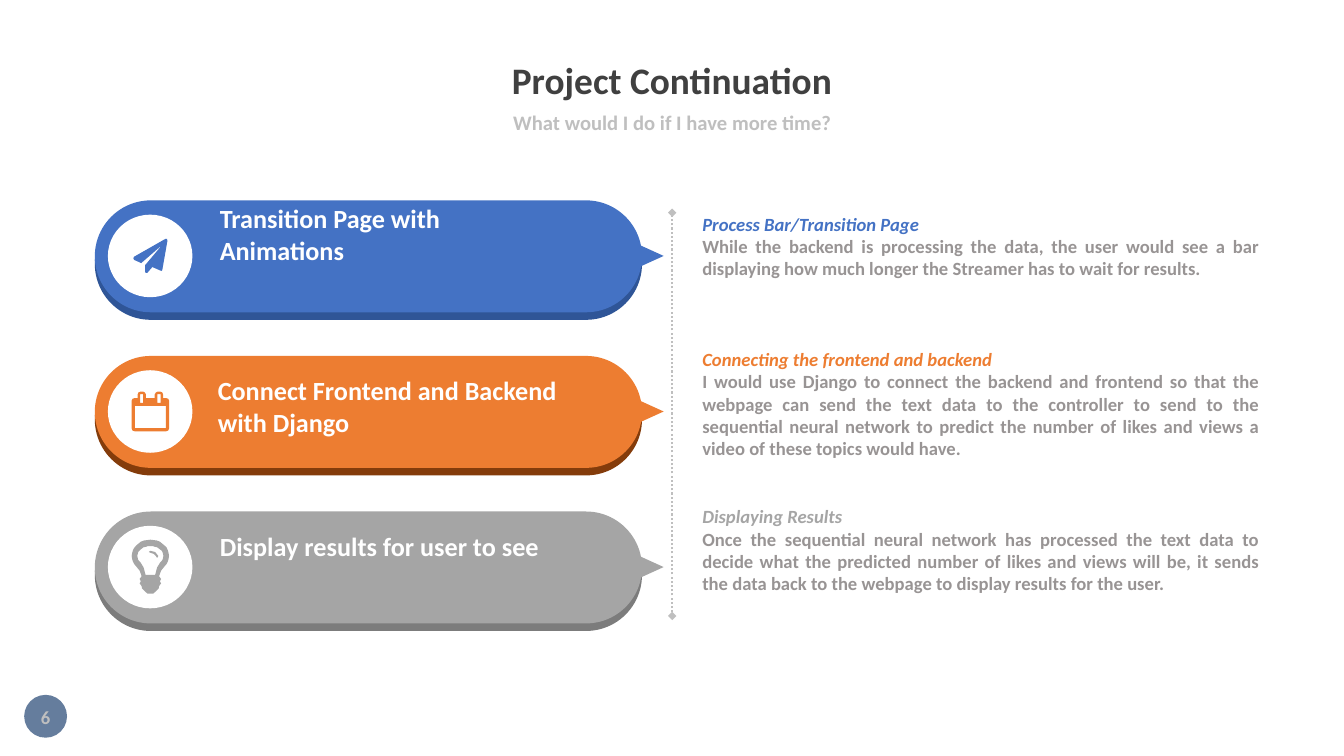
"""Build the project continuation slide: three pills, their icons and notes."""
from dataclasses import dataclass
from math import cos, radians, sin

from lxml.etree import SubElement
from pptx import Presentation
from pptx.dml.color import RGBColor
from pptx.enum.dml import MSO_LINE
from pptx.enum.shapes import MSO_CONNECTOR, MSO_SHAPE
from pptx.enum.text import MSO_ANCHOR, PP_ALIGN
from pptx.oxml.ns import qn
from pptx.util import Cm, Pt

BLUE = RGBColor(0x44, 0x72, 0xC4)
NAVY = RGBColor(0x2F, 0x55, 0x97)
ORANGE = RGBColor(0xED, 0x7D, 0x31)
BROWN = RGBColor(0x84, 0x3C, 0x0B)
GRAY = RGBColor(0xA5, 0xA5, 0xA5)
SLATE = RGBColor(0x7C, 0x7C, 0x7C)
WHITE = RGBColor(0xFF, 0xFF, 0xFF)
SILVER = RGBColor(0xBF, 0xBF, 0xBF)
DARK = RGBColor(0x40, 0x40, 0x40)
BODY = RGBColor(0x98, 0x94, 0x94)
STEEL = RGBColor(0x65, 0x7D, 0x9D)

FONT = "Calibri"
TOP, PITCH = 5.05, 3.92
NOTE = 13.3

Points = list[tuple[float, float]]


@dataclass
class Row:
    label: str
    left: float
    drop: float
    color: RGBColor
    shade: RGBColor
    icon: list[Points]
    head: str
    note: str
    gap: float


@dataclass
class Line:
    text: str
    color: RGBColor
    slant: bool = False
    gap: float = 0


def arc(y: float, wide: float, high: float, start: int, end: int) -> Points:
    return [(wide * cos(radians(a)), y + high * sin(radians(a)))
            for a in range(start, end + 1, 10)]


def mirror(half: Points) -> Points:
    return half + [(-x, y) for x, y in reversed(half)]


def box(left: float, top: float, right: float, base: float) -> Points:
    return [(left, top), (right, top), (right, base), (left, base)]


PLANE = [[(43, -38), (30, 36), (28, 38), (5, 28), (-8, 43), (-12, 43), (-13, 40),
          (-13, 23), (30, -28), (-23, 18), (-41, 10), (-43, 6), (-41, 2),
          (38, -43), (42, -43)]]
DATES = [mirror([(11, -34), (11, -43), (14, -48), (18, -50), (25, -50), (30, -48),
                 (32, -43), (32, -34), (39, -34), (45, -32), (47, -28), (47, 43),
                 (45, 48), (39, 50)]),
         box(-39, -14, 39, 42), box(-26, -44, -18, -22), box(18, -44, 26, -22)]
BULB = [arc(-28, 47, 41, 140, 400)
        + mirror([(27, 9), (22, 23), (27, 30), (24, 36), (27, 41), (22, 48),
                  (21, 54), (14, 61), (7, 67)]),
        arc(-28, 33, 25, 140, 400) + mirror([(17, 1), (12, 20)]),
        [(17, -23), (14, -28), (9, -33), (0, -36), (-4, -38), (0, -41),
         (12, -38), (20, -28)]]

ROWS = [
    Row("Transition Page with\nAnimations", 5.54, 0.85, BLUE, NAVY, PLANE,
        "Process Bar/Transition Page",
        "While the backend is processing the data, the user would see a bar "
        "displaying how much longer the Streamer has to wait for results.", 0),
    Row("Connect Frontend and Backend\nwith Django", 5.49, 1.26, ORANGE, BROWN, DATES,
        "Connecting the frontend and backend",
        "I would use Django to connect the backend and frontend so that the webpage "
        "can send the text data to the controller to send to the sequential neural "
        "network to predict the number of likes and views a video of these topics "
        "would have.", 48.7),
    Row("Display results for user to see", 5.54, 0.88, GRAY, SLATE, BULB,
        "Displaying Results",
        "Once the sequential neural network has processed the text data to decide what "
        "the predicted number of likes and views will be, it sends the data back to "
        "the webpage to display results for the user.", 32.5),
]


def paint(shape, color: RGBColor):
    shape.shadow.inherit = False
    shape.fill.solid()
    shape.fill.fore_color.rgb = color
    shape.line.fill.background()
    return shape


def draw(slide, kind: MSO_SHAPE, left: float, top: float, width: float,
         height: float, color: RGBColor):
    shape = slide.shapes.add_shape(kind, Cm(left), Cm(top), Cm(width), Cm(height))
    return paint(shape, color)


def write(slide, lines: list[Line], *, left: float, top: float, width: float,
          height: float, size: float, align: PP_ALIGN = PP_ALIGN.LEFT,
          anchor: MSO_ANCHOR = MSO_ANCHOR.MIDDLE, pace: float = 1.0) -> None:
    frame = slide.shapes.add_textbox(Cm(left), Cm(top), Cm(width), Cm(height)).text_frame
    frame.word_wrap = True
    frame.vertical_anchor = anchor
    frame.margin_left = frame.margin_right = frame.margin_top = frame.margin_bottom = 0
    for index, line in enumerate(lines):
        para = frame.add_paragraph() if index else frame.paragraphs[0]
        para.alignment, para.line_spacing = align, pace
        para.space_before = Pt(line.gap)
        run = para.add_run()
        run.text = line.text
        font = run.font
        font.name, font.size, font.bold = FONT, Pt(size), True
        font.italic, font.color.rgb = line.slant, line.color


def trace(slide, icon: list[Points], left: float, top: float, color: RGBColor) -> None:
    first, *rest = icon
    pen = slide.shapes.build_freeform(*first[0], scale=Cm(0.01))
    pen.add_line_segments(first[1:])
    for part in rest:
        pen.move_to(*part[0])
        pen.add_line_segments(part[1:])
    paint(pen.convert_to_shape(Cm(left), Cm(top)), color)


def divide(slide) -> None:
    rule = slide.shapes.add_connector(
        MSO_CONNECTOR.STRAIGHT, Cm(16.94), Cm(15.52), Cm(16.94), Cm(5.36))
    rule.line.color.rgb = SILVER
    rule.line.width = Pt(1.5)
    rule.line.dash_style = MSO_LINE.ROUND_DOT
    stroke = rule.line._get_or_add_ln()
    for end in ("a:headEnd", "a:tailEnd"):
        SubElement(stroke, qn(end), type="diamond")
    SubElement(rule._element.spPr, qn("a:effectLst"))


def band(slide, row: Row, top: float) -> None:
    for drop, color in ((0.19, row.shade), (0, row.color)):
        pill = draw(slide, MSO_SHAPE.ROUNDED_RECTANGLE, 2.39, top + drop, 13.79, 2.82, color)
        pill.adjustments[0] = 0.5
    draw(slide, MSO_SHAPE.ISOSCELES_TRIANGLE, 16, top + 1.02, 0.69, 0.76,
         row.color).rotation = 90
    draw(slide, MSO_SHAPE.OVAL, 2.72, top + 0.36, 2.13, 2.08, WHITE)
    trace(slide, row.icon, 3.79, top + 1.4, row.color)
    write(slide, [Line(text, WHITE) for text in row.label.split("\n")],
          left=row.left, top=top + row.drop - 0.8, width=9.2, height=1.6, size=18.7)


def main() -> None:
    deck = Presentation()
    deck.slide_width, deck.slide_height = Cm(33.87), Cm(19.05)
    slide = deck.slides.add_slide(deck.slide_layouts[6])
    write(slide, [Line("Project Continuation", DARK)], left=6.5, top=1.42, width=20.88,
          height=1.32, size=26.7, align=PP_ALIGN.CENTER, pace=0.9)
    write(slide, [Line("What would I do if I have more time?", SILVER)], left=9.32,
          top=2.74, width=15.24, height=0.74, size=14.7, align=PP_ALIGN.CENTER, pace=0.9)
    draw(slide, MSO_SHAPE.OVAL, 0.61, 17.51, 1.08, 1.08, STEEL)
    write(slide, [Line("6", SILVER)], left=0.3, top=17.56, width=1.7, height=1.02,
          size=NOTE, align=PP_ALIGN.CENTER)
    divide(slide)
    notes = []
    for index, row in enumerate(ROWS):
        band(slide, row, TOP + index * PITCH)
        notes += [Line(row.head, row.color, True, row.gap), Line(row.note, BODY)]
    write(slide, notes, left=17.7, top=5.36, width=14.05, height=9.68, size=NOTE,
          align=PP_ALIGN.JUSTIFY, anchor=MSO_ANCHOR.TOP)
    deck.save("out.pptx")


if __name__ == "__main__":
    main()
